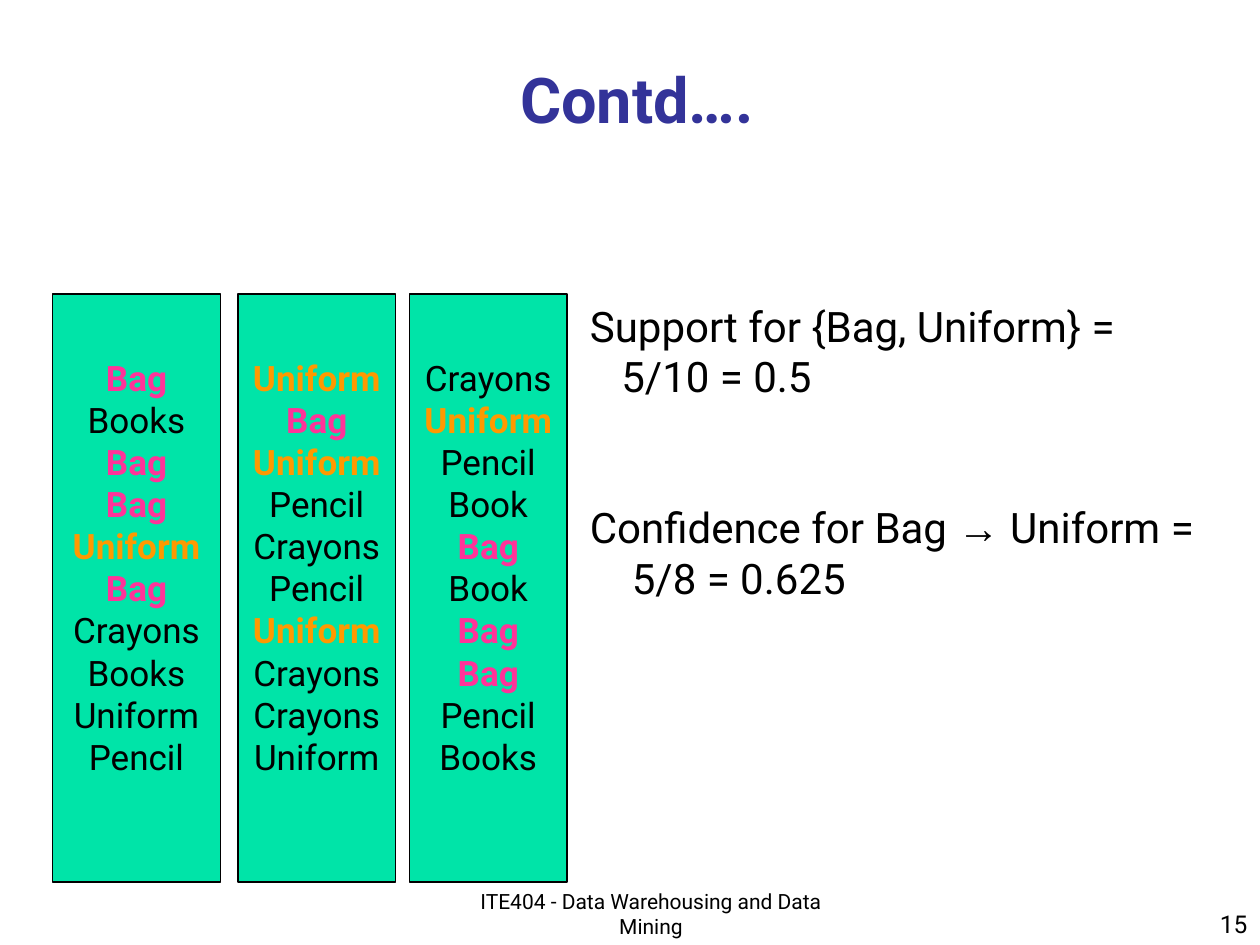
import pptx
import pptx.util
import pptx.dml.color
import pptx.enum.shapes
import pptx.enum.text
from dataclasses import dataclass

Pt = pptx.util.Pt
Align = pptx.enum.text.PP_ALIGN
Anchor = pptx.enum.text.MSO_ANCHOR


@dataclass(frozen=True)
class Theme:
    font: str = "Roboto"
    arrow_font: str = "Arial"
    title: str = "333399"
    text: str = "000000"
    panel: str = "00E4A8"
    bag: str = "FF3399"
    uniform: str = "FF9900"
    title_size: int = 36
    body_size: int = 24
    item_size: int = 20
    number_size: int = 14
    footer_size: int = 12


theme = Theme()
highlights = {"Bag": theme.bag, "Uniform": theme.uniform}


def color(code):
    return pptx.dml.color.RGBColor.from_string(code)


def style(para, size, code=theme.text, bold=False, align=Align.LEFT):
    para.alignment = align
    para.font.name = theme.font
    para.font.size = Pt(size)
    para.font.bold = bold
    para.font.color.rgb = color(code)


deck = pptx.Presentation()
deck.slide_width, deck.slide_height = Pt(720), Pt(540)
page = deck.slides.add_slide(deck.slide_layouts[5])

title = page.shapes.title
title.left, title.top, title.width, title.height = Pt(60), Pt(18), Pt(608), Pt(60)
frame = title.text_frame
frame.text = "Contd…."
frame.auto_size = pptx.enum.text.MSO_AUTO_SIZE.NONE
frame.vertical_anchor = Anchor.BOTTOM
frame.margin_left = frame.margin_right = frame.margin_top = frame.margin_bottom = 0
style(frame.paragraphs[0], theme.title_size, theme.title, True, Align.CENTER)

# left, width, items, number of leading items that are highlighted
columns = [
    (30, 96, "Bag Books Bag Bag Uniform Bag Crayons Books Uniform Pencil", 6),
    (136, 90, "Uniform Bag Uniform Pencil Crayons Pencil Uniform Crayons Crayons Uniform", 7),
    (234, 90, "Crayons Uniform Pencil Book Bag Book Bag Bag Pencil Books", 8),
]
for left, width, items, highlighted in columns:
    panel = page.shapes.add_shape(
        pptx.enum.shapes.MSO_SHAPE.RECTANGLE, Pt(left), Pt(168), Pt(width), Pt(336)
    )
    panel.shadow.inherit = False
    panel.fill.solid()
    panel.fill.fore_color.rgb = color(theme.panel)
    panel.line.color.rgb = color(theme.text)
    panel.line.width = Pt(0.75)
    frame = panel.text_frame
    frame.word_wrap = False
    frame.vertical_anchor = Anchor.MIDDLE
    frame.margin_bottom = Pt(27.6)
    frame.text = items.replace(" ", "\n")
    for index, para in enumerate(frame.paragraphs):
        marked = index < highlighted and para.text in highlights
        code = highlights[para.text] if marked else theme.text
        style(para, theme.item_size, code, marked, Align.CENTER)

measures = page.shapes.add_textbox(Pt(330), Pt(168), Pt(386.6), Pt(180))
frame = measures.text_frame
frame.word_wrap = False
lines = [
    (["Support for {Bag, Uniform} ="], 0, 0),
    (["5/10 = 0.5"], 18, 0),
    (["Confidence for Bag ", "→", " Uniform ="], 0, 57.6),
    (["5/8 = 0.625"], 24, 0),
]
for index, (parts, indent, gap) in enumerate(lines):
    para = frame.add_paragraph() if index else frame.paragraphs[0]
    para.space_before = Pt(gap)
    para._p.get_or_add_pPr().set("marL", str(Pt(indent)))
    style(para, theme.body_size)
    for part in parts:
        span = para.add_run()
        span.text = part
        if part == "→":
            span.font.name = theme.arrow_font

notes = [
    ("15", 570, 504, 150, 36, theme.number_size, Align.RIGHT),
    ("ITE404 - Data Warehousing and Data Mining", 258, 510, 228, 30, theme.footer_size, Align.CENTER),
]
for text, left, top, width, height, size, align in notes:
    box = page.shapes.add_textbox(Pt(left), Pt(top), Pt(width), Pt(height))
    frame = box.text_frame
    frame.word_wrap = True
    frame.vertical_anchor = Anchor.BOTTOM
    frame.text = text
    style(frame.paragraphs[0], size, align=align)

deck.save("out.pptx")
